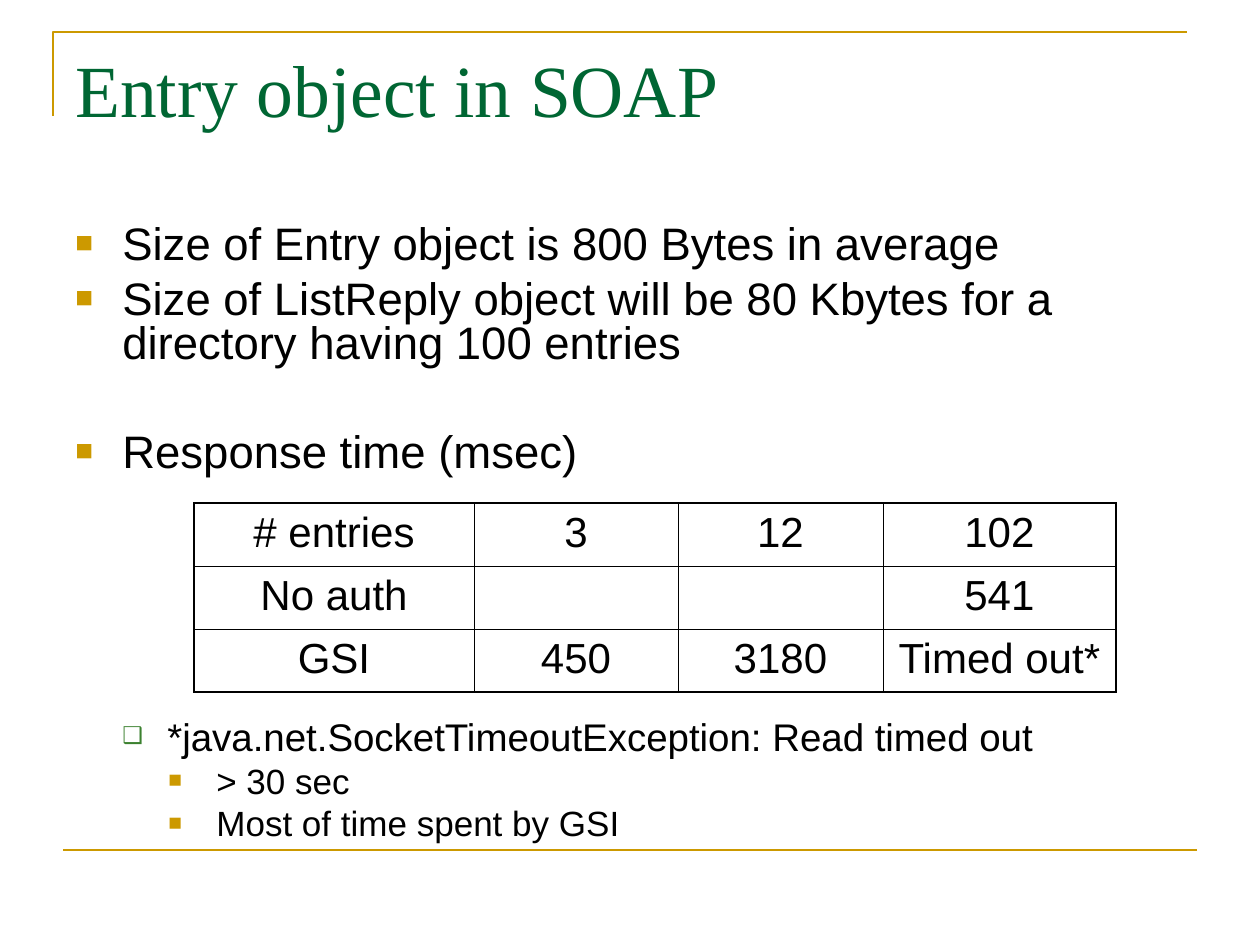
from dataclasses import dataclass

from lxml import etree
from pptx import Presentation
from pptx.dml.color import RGBColor
from pptx.enum.shapes import MSO_CONNECTOR
from pptx.enum.text import MSO_ANCHOR, PP_ALIGN
from pptx.oxml.ns import qn
from pptx.util import Pt

STRAIGHT = MSO_CONNECTOR.STRAIGHT
TOP = MSO_ANCHOR.TOP
LEFT, CENTER = PP_ALIGN.LEFT, PP_ALIGN.CENTER


@dataclass(frozen=True)
class Theme:
    title: str = "006633"
    ink: str = "000000"
    accent: str = "CC9900"
    hollow: str = "3B812F"
    heading_font: str = "Times New Roman"
    body_font: str = "Arial"
    title_size: int = 42
    table_size: int = 24
    rule_width: float = 1.5
    outer_border: float = 1.08
    inner_border: float = 0.45
    line_spacing: float = 0.8


THEME = Theme()
TITLE = "Entry object in SOAP"
LEVELS = [
    dict(size=26, indent=47, hang=47, before=6.5, bullet=("■", THEME.accent, 65)),
    dict(size=22, indent=92, hang=45, before=5.5, bullet=("❑", THEME.hollow, 60)),
    dict(size=20, indent=141, hang=48, before=5, bullet=("■", THEME.accent, 65)),
]
POINTS = [
    (0, "Size of Entry object is 800 Bytes in average", 0),
    (0, "Size of ListReply object will be 80 Kbytes for a directory having 100 entries", 0),
    (0, "Response time (msec)", 31),
    (1, "*java.net.SocketTimeoutException: Read timed out", 134),
    (2, "> 30 sec", 0),
    (2, "Most of time spent by GSI", 0),
]
RESPONSE_TIMES = [
    ["# entries", "3", "12", "102"],
    ["No auth", "", "", "541"],
    ["GSI", "450", "3180", "Timed out*"],
]
COLUMN_WIDTHS = [280, 204, 205, 233]
ROW_HEIGHT = 63
CORNER = [(53, 116), (53, 32), (1187, 32)]
FOOTER_RULE = (63, 850, 1197, 850)


def px(length):
    return round(length * 914400 / 126)


def add_bullet(paragraph, bullet, indent, hang):
    char, color, percent = bullet
    props = paragraph._p.get_or_add_pPr()
    props.set("marL", str(px(indent)))
    props.set("indent", str(-px(hang)))
    bullet_color = etree.SubElement(props, qn("a:buClr"))
    etree.SubElement(bullet_color, qn("a:srgbClr"), val=color)
    etree.SubElement(props, qn("a:buSzPct"), val=str(percent * 1000))
    etree.SubElement(props, qn("a:buFont"), typeface=THEME.body_font)
    etree.SubElement(props, qn("a:buChar"), char=char)


def write(paragraph, text, *, size, font=THEME.body_font, color=THEME.ink,
          align=LEFT, spacing=None, before=0, bullet=None, indent=0, hang=0):
    paragraph.alignment = align
    paragraph.space_before = Pt(before)
    if spacing:
        paragraph.line_spacing = spacing
    if bullet:
        add_bullet(paragraph, bullet, indent, hang)
    run = paragraph.add_run()
    run.text = text
    run.font.size = Pt(size)
    run.font.name = font
    run.font.color.rgb = RGBColor.from_string(color)


def add_frame(slide, left, top, width, height, inset_top=6):
    frame = slide.shapes.add_textbox(*map(px, (left, top, width, height))).text_frame
    frame.word_wrap = True
    frame.vertical_anchor = TOP
    frame.margin_top = px(inset_top)
    return frame


def style_rule(rule):
    rule.line.color.rgb = RGBColor.from_string(THEME.accent)
    rule.line.width = Pt(THEME.rule_width)


def add_rules(slide):
    builder = slide.shapes.build_freeform(*CORNER[0], scale=px(1))
    builder.add_line_segments(CORNER[1:], close=False)
    corner = builder.convert_to_shape()
    corner.fill.background()
    corner.shadow.inherit = False
    style_rule(corner)
    footer = slide.shapes.add_connector(STRAIGHT, *map(px, FOOTER_RULE))
    style_rule(footer)
    etree.SubElement(footer._element.spPr, qn("a:effectLst"))


def add_borders(cell, outer_sides):
    props = cell._tc.get_or_add_tcPr()
    for position, (side, outer) in enumerate(outer_sides.items()):
        width = THEME.outer_border if outer else THEME.inner_border
        border = etree.Element(qn(f"a:ln{side}"), w=str(Pt(width)))
        fill = etree.SubElement(border, qn("a:solidFill"))
        etree.SubElement(fill, qn("a:srgbClr"), val=THEME.ink)
        props.insert(position, border)


def add_response_table(slide, left, top):
    last_row, last_column = len(RESPONSE_TIMES) - 1, len(COLUMN_WIDTHS) - 1
    size = (sum(COLUMN_WIDTHS), ROW_HEIGHT * len(RESPONSE_TIMES))
    table = slide.shapes.add_table(last_row + 1, last_column + 1,
                                   *map(px, (left, top, *size))).table
    table.first_row = table.horz_banding = False
    for column, width in zip(table.columns, COLUMN_WIDTHS):
        column.width = px(width)
    for r, values in enumerate(RESPONSE_TIMES):
        table.rows[r].height = px(ROW_HEIGHT)
        for c, value in enumerate(values):
            cell = table.cell(r, c)
            cell.fill.background()
            add_borders(cell, {"L": c == 0, "R": c == last_column,
                               "T": r == 0, "B": r == last_row})
            if value:
                write(cell.text_frame.paragraphs[0], value,
                      size=THEME.table_size, align=CENTER)


def main():
    deck = Presentation()
    deck.slide_width, deck.slide_height = px(1260), px(945)
    slide = deck.slides.add_slide(deck.slide_layouts[6])
    add_rules(slide)

    title = add_frame(slide, 63, 38, 1134, 157)
    write(title.paragraphs[0], TITLE, size=THEME.title_size,
          font=THEME.heading_font, color=THEME.title)

    body = add_frame(slide, 63, 220, 1134, 689)
    for i, (level, text, gap) in enumerate(POINTS):
        paragraph = body.add_paragraph() if i else body.paragraphs[0]
        paragraph.level = level
        style = dict(LEVELS[level])
        style["before"] = style["before"] + gap if i else 0
        write(paragraph, text, spacing=THEME.line_spacing, **style)

    add_response_table(slide, 194, 503)
    deck.save("out.pptx")


if __name__ == "__main__":
    main()
